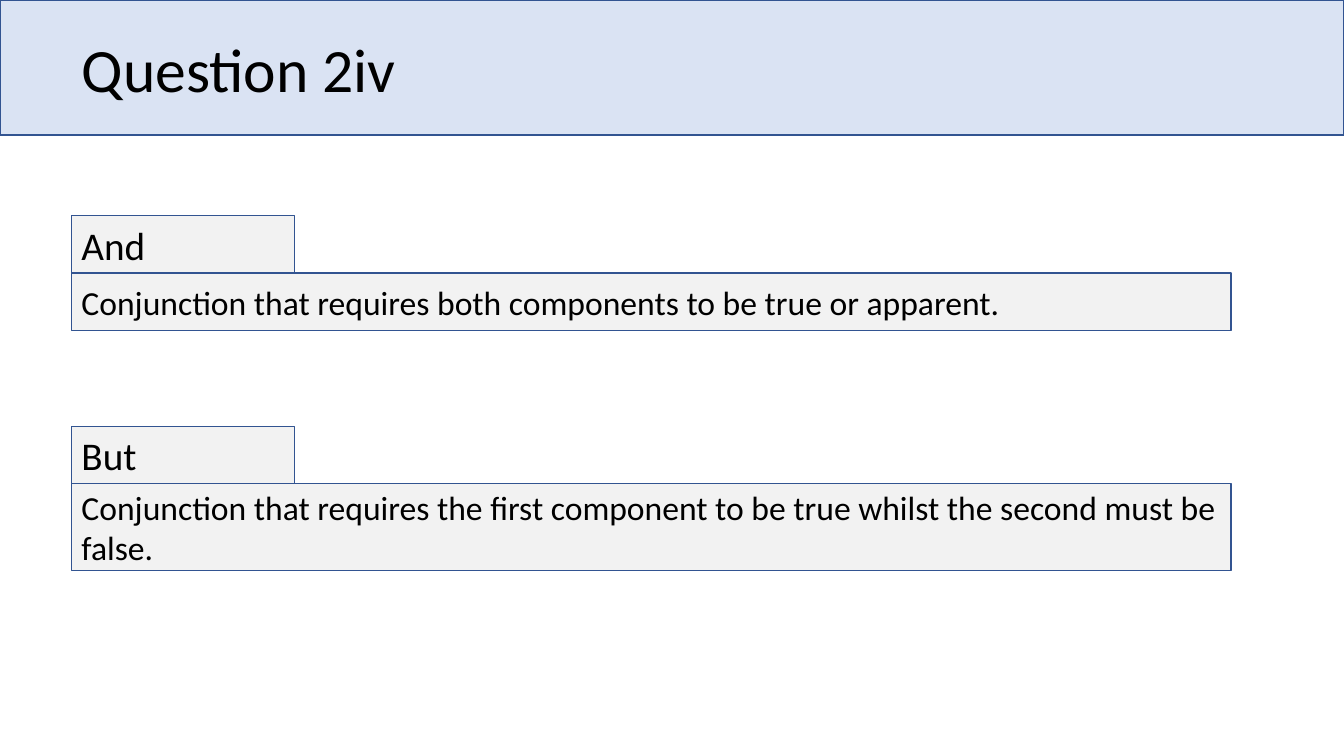
import pptx
import pptx.util
import pptx.dml.color
import pptx.enum.shapes
import pptx.enum.text

Inches = pptx.util.Inches
LEFT, WIDTH = 0.71, 11.5
LABEL_WIDTH, LABEL_HEIGHT = 2.21, 0.57
DEFINITIONS = [
    ("And", "Conjunction that requires both components to be true or apparent.", 2.14, 0.57),
    ("But", "Conjunction that requires the first component to be true whilst "
            "the second must be false.", 4.23, 0.86),
]


def rgb(color):
    """Turn a hex string into a colour."""
    return pptx.dml.color.RGBColor.from_string(color)


def write(tf, text, size):
    """Write one left-aligned run, centred vertically."""
    tf.word_wrap = True
    tf.vertical_anchor = pptx.enum.text.MSO_ANCHOR.MIDDLE
    p = tf.paragraphs[0]
    p.alignment = pptx.enum.text.PP_ALIGN.LEFT
    r = p.add_run()
    r.text = text
    r.font.name = "Calibri"
    r.font.size = pptx.util.Pt(size)
    r.font.color.rgb = rgb("000000")
    return p


def add_box(s, left, top, width, height, fill):
    """Add an outlined rectangle."""
    sp = s.shapes.add_shape(pptx.enum.shapes.MSO_SHAPE.RECTANGLE, Inches(left),
                            Inches(top), Inches(width), Inches(height))
    sp.shadow.inherit = False
    sp.fill.solid()
    sp.fill.fore_color.rgb = rgb(fill)
    sp.line.color.rgb = rgb("325491")
    sp.line.width = pptx.util.Pt(1)
    return sp


def add_title(s, text):
    """Fill the title placeholder and set a band behind it."""
    title = s.shapes.title
    title.left, title.top = Inches(LEFT), Inches(-0.01)
    title.width, title.height = Inches(WIDTH), Inches(1.45)
    write(title.text_frame, text, 44).line_spacing = 0.9
    band = add_box(s, 0, 0, 13.33, 1.34, "DAE3F3")
    title.element.addprevious(band.element)


def add_definition(s, term, meaning, top, height):
    """Add a term tab with its meaning directly below."""
    label = add_box(s, LEFT, top, LABEL_WIDTH, LABEL_HEIGHT, "F2F2F2")
    write(label.text_frame, term, 28)
    body = add_box(s, LEFT, top + LABEL_HEIGHT, WIDTH, height, "F2F2F2")
    write(body.text_frame, meaning, 24)


def main():
    """Build and save the slide."""
    prs = pptx.Presentation()
    prs.slide_width, prs.slide_height = Inches(13.33), Inches(7.5)
    s = prs.slides.add_slide(prs.slide_layouts[5])
    add_title(s, "Question 2iv")
    for definition in DEFINITIONS:
        add_definition(s, *definition)
    prs.save("out.pptx")


if __name__ == "__main__":
    main()
